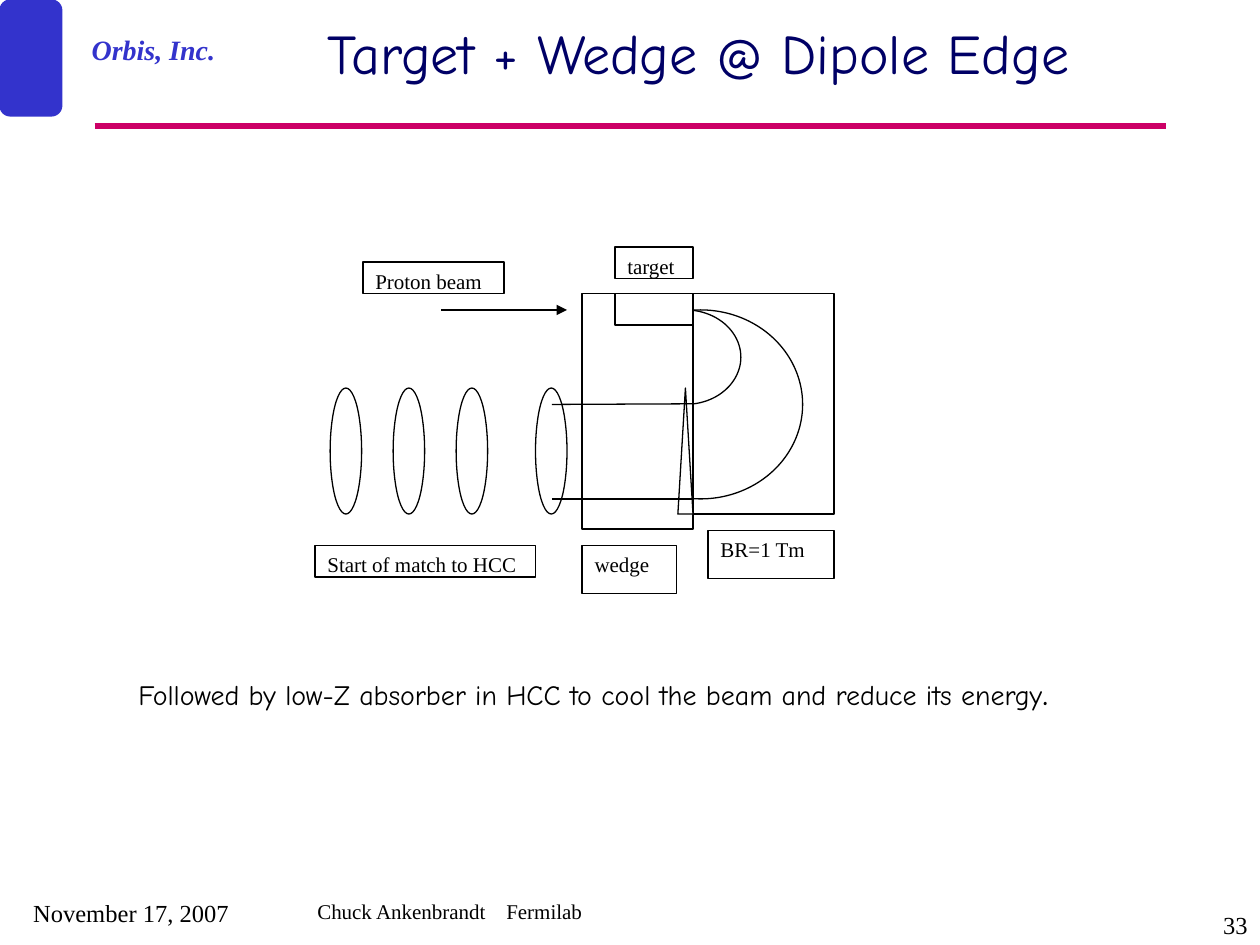
from dataclasses import dataclass

from lxml import etree
from pptx import Presentation
from pptx.dml.color import RGBColor
from pptx.enum.shapes import MSO_CONNECTOR, MSO_SHAPE
from pptx.enum.text import MSO_ANCHOR, PP_ALIGN
from pptx.oxml.ns import qn
from pptx.util import Inches, Pt

RECT, OVAL = MSO_SHAPE.RECTANGLE, MSO_SHAPE.OVAL
TRIANGLE, ROUNDED = MSO_SHAPE.ISOSCELES_TRIANGLE, MSO_SHAPE.ROUNDED_RECTANGLE
LEFT, CENTER, RIGHT = PP_ALIGN.LEFT, PP_ALIGN.CENTER, PP_ALIGN.RIGHT
TOP, MIDDLE = MSO_ANCHOR.TOP, MSO_ANCHOR.MIDDLE
STRAIGHT = MSO_CONNECTOR.STRAIGHT
SERIF, HAND = "Times New Roman", "Comic Neue"
BLACK, WHITE, BLUE, NAVY, PINK = "000000", "FFFFFF", "3333CC", "000066", "CC0066"
LEFT_SIDE = 1


@dataclass
class Part:
    """A shape of the beam line, with its label if it has one."""
    kind: int
    left: float
    top: float
    width: float
    height: float
    label: str = ""


@dataclass
class Note:
    """A free text on the slide."""
    text: str
    left: float
    top: float
    width: float
    height: float
    size: float
    font: str = SERIF
    color: str = BLACK
    align: int = LEFT
    bold: bool = False
    italic: bool = False


def rgb(color: str) -> RGBColor:
    return RGBColor.from_string(color)


def set_font(font, name: str, size: float, color: str) -> None:
    font.name, font.size = name, Pt(size)
    font.color.rgb = rgb(color)


def draw_part(slide, part: Part, fill: str = WHITE, line: str = BLACK):
    shape = slide.shapes.add_shape(part.kind, Inches(part.left), Inches(part.top),
                                   Inches(part.width), Inches(part.height))
    shape.shadow.inherit = False
    shape.fill.solid()
    shape.fill.fore_color.rgb = rgb(fill)
    shape.line.color.rgb = rgb(line)
    shape.line.width = Pt(0.75)
    if part.label:
        frame = shape.text_frame
        frame.vertical_anchor = TOP
        para = frame.paragraphs[0]
        para.text, para.alignment = part.label, LEFT
        set_font(para.font, SERIF, 12, BLACK)
    return shape


def draw_line(slide, x1: float, y1: float, x2: float, y2: float,
              color: str = BLACK, width: float = 0.75, arrow: bool = False):
    line = slide.shapes.add_connector(STRAIGHT, Inches(x1), Inches(y1),
                                      Inches(x2), Inches(y2))
    line.line.color.rgb = rgb(color)
    line.line.width = Pt(width)
    if arrow:
        etree.SubElement(line.line._get_or_add_ln(), qn("a:tailEnd"), type="triangle")
    etree.SubElement(line._element.spPr, qn("a:effectLst"))
    return line


def draw_note(slide, note: Note):
    box = slide.shapes.add_textbox(Inches(note.left), Inches(note.top),
                                   Inches(note.width), Inches(note.height))
    box.text_frame.word_wrap = True
    para = box.text_frame.paragraphs[0]
    para.add_run().text = note.text
    para.alignment = note.align
    set_font(para.font, note.font, note.size, note.color)
    para.font.bold, para.font.italic = note.bold, note.italic
    return para


def draw_title(slide, text: str) -> None:
    title = slide.shapes.title
    title.left, title.top = Inches(1.92), Inches(0)
    title.width, title.height = Inches(7.25), Inches(0.83)
    title.text_frame.vertical_anchor = MIDDLE
    para = title.text_frame.paragraphs[0]
    para.text, para.alignment = text, CENTER
    set_font(para.font, HAND, 32, NAVY)


def draw_beam_line(slide) -> None:
    # Dipole field, outer orbit and incoming beam
    dipole = draw_part(slide, Part(RECT, 5.5, 2.33, 1.12, 1.75))
    draw_part(slide, Part(OVAL, 4.75, 2.46, 1.62, 1.5))
    draw_line(slide, 3.5, 2.46, 4.5, 2.46, arrow=True)

    # Matching coils, then the inner orbit, drift region and wedge
    for left in (4.25, 3.62, 3.12, 2.62):
        draw_part(slide, Part(OVAL, left, 3.08, 0.25, 1))
    for part in (Part(OVAL, 5, 2.46, 0.88, 0.75),
                 Part(RECT, 4.62, 2.33, 0.88, 1.87),
                 Part(TRIANGLE, 5.38, 3.08, 0.12, 1)):
        draw_part(slide, part)

    # Tracks leaving the dipole
    upper_track, _ = [draw_line(slide, 4.38, y, 5.5, y) for y in (3.21, 3.96)]
    upper_track.end_connect(dipole, LEFT_SIDE)

    # Target and labels
    for part in (Part(RECT, 4.88, 2.33, 0.62, 0.25),
                 Part(RECT, 2.88, 2.08, 1.12, 0.25, "Proton beam"),
                 Part(RECT, 4.88, 1.96, 0.62, 0.25, "target"),
                 Part(RECT, 5.62, 4.21, 1, 0.38, "BR=1 Tm"),
                 Part(RECT, 4.62, 4.33, 0.75, 0.38, "wedge"),
                 Part(RECT, 2.5, 4.33, 1.75, 0.25, "Start of match to HCC")):
        draw_part(slide, part)


def main() -> None:
    deck = Presentation()
    deck.slide_width, deck.slide_height = Inches(10), Inches(7.5)
    slide = deck.slides.add_slide(deck.slide_layouts[5])

    # Header
    draw_line(slide, 0.75, 1, 9.25, 1, PINK, 3)
    draw_part(slide, Part(ROUNDED, 0, 0, 0.49, 0.92), BLUE, BLUE)
    draw_note(slide, Note("Orbis, Inc.", 0.63, 0.21, 1.46, 0.37, 16,
                          color=BLUE, bold=True, italic=True))
    draw_title(slide, "Target + Wedge @ Dipole Edge")

    draw_beam_line(slide)

    # Remark, ending in a bold full stop
    remark = draw_note(slide, Note(
        "Followed by low-Z absorber in HCC to cool the beam and reduce its energy",
        1, 5.33, 8.08, 0.37, 16, HAND))
    stop = remark.add_run()
    stop.text, stop.font.bold = ".", True

    # Footer
    for note in (Note("November 17, 2007", 0, 7.08, 2.08, 0.42, 14, align=CENTER),
                 Note("Chuck Ankenbrandt\tFermilab", 2.42, 7.08, 5.5, 0.42, 12),
                 Note("33", 7.92, 7.17, 2.08, 0.33, 14, align=RIGHT)):
        draw_note(slide, note)

    deck.save("out.pptx")


if __name__ == "__main__":
    main()
